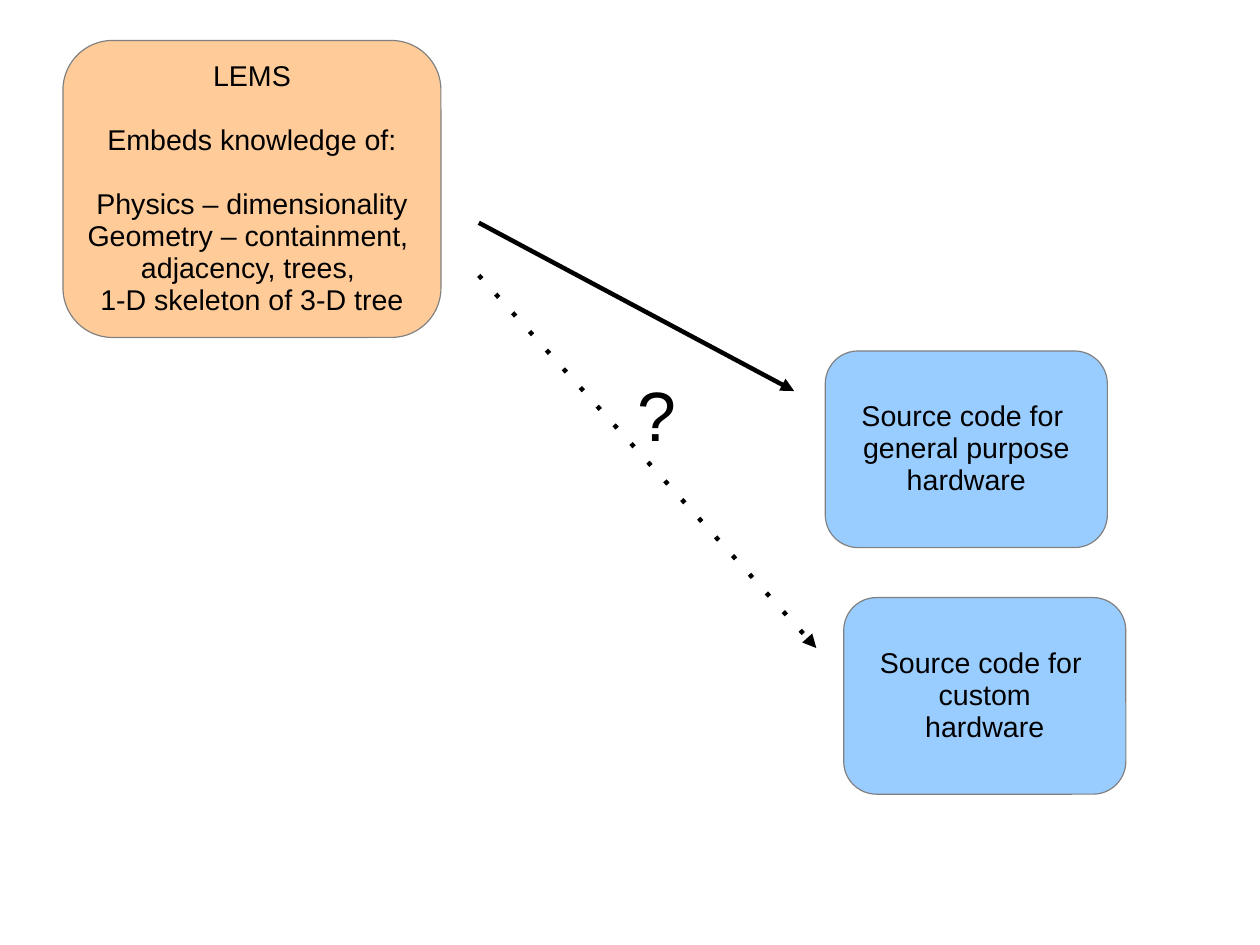
from dataclasses import dataclass

from lxml import etree
from pptx import Presentation
from pptx.dml.color import RGBColor
from pptx.enum import shapes, text
from pptx.oxml import ns
from pptx.util import Cm, Pt


@dataclass(frozen=True)
class Theme:
    font: str = "Arial"
    ink: str = "000000"
    edge: str = "808080"
    model: str = "FFCC99"
    code: str = "99CCFF"
    label: float = 18
    query: float = 44
    arrow: float = 2.83
    spacing: float = 0.93
    gap: float = 20


THEME = Theme()
SLIDE_SIZE = (28, 21)
CODE_SIZE = (6.27, 4.37)

BOXES = [
    ((1.4, 0.9, 8.4, 6.6), THEME.model, [
        ["LEMS"],
        ["Embeds knowledge of:"],
        ["Physics – dimensionality", "Geometry – containment, ",
         "adjacency, trees, ", "1-D skeleton of 3-D tree"],
    ]),
    ((18.75, 13.28, *CODE_SIZE), THEME.code,
     [["Source code for ", "custom", "hardware"]]),
    ((18.34, 7.8, *CODE_SIZE), THEME.code,
     [["Source code for ", "general purpose", "hardware"]]),
]
ARROWS = [
    ((10.64, 4.95, 17.65, 8.69), False),
    ((10.64, 6.12, 18.14, 14.4), True),
]
QUERY = ("?", (13.92, 8.3, 1.37, 2.2))


def rgb(value):
    return RGBColor.from_string(value)


def write(tf, groups, size=THEME.label, align=text.PP_ALIGN.CENTER,
          anchor=text.MSO_ANCHOR.MIDDLE):
    tf.word_wrap = False
    tf.vertical_anchor = anchor
    lines = [(line, i > 0 and j == 0)
             for i, group in enumerate(groups) for j, line in enumerate(group)]
    for n, (line, opens_group) in enumerate(lines):
        p = tf.add_paragraph() if n else tf.paragraphs[0]
        p.alignment = align
        p.line_spacing = THEME.spacing
        if opens_group:
            p.space_before = Pt(THEME.gap)
        r = p.add_run()
        r.text = line
        r.font.name = THEME.font
        r.font.size = Pt(size)
        r.font.color.rgb = rgb(THEME.ink)


def add_box(s, place, fill, groups):
    sp = s.shapes.add_shape(shapes.MSO_SHAPE.ROUNDED_RECTANGLE, *map(Cm, place))
    sp.shadow.inherit = False
    sp.fill.solid()
    sp.fill.fore_color.rgb = rgb(fill)
    sp.line.color.rgb = rgb(THEME.edge)
    sp.line.width = Pt(0)
    write(sp.text_frame, groups)


def add_arrow(s, ends, dotted):
    cx = s.shapes.add_connector(shapes.MSO_CONNECTOR.STRAIGHT, *map(Cm, ends))
    cx.line.color.rgb = rgb(THEME.ink)
    cx.line.width = Pt(THEME.arrow)
    ln = cx.line._get_or_add_ln()
    if dotted:
        dash = etree.SubElement(ln, ns.qn("a:custDash"))
        etree.SubElement(dash, ns.qn("a:ds"), d="100000", sp="460000")
    etree.SubElement(ln, ns.qn("a:tailEnd"), type="triangle")
    etree.SubElement(cx._element.spPr, ns.qn("a:effectLst"))


def main():
    prs = Presentation()
    prs.slide_width, prs.slide_height = map(Cm, SLIDE_SIZE)
    s = prs.slides.add_slide(prs.slide_layouts[6])
    for box in BOXES:
        add_box(s, *box)
    for arrow in ARROWS:
        add_arrow(s, *arrow)
    mark, place = QUERY
    sp = s.shapes.add_textbox(*map(Cm, place))
    write(sp.text_frame, [[mark]], size=THEME.query,
          align=text.PP_ALIGN.LEFT, anchor=text.MSO_ANCHOR.TOP)
    prs.save("out.pptx")


if __name__ == "__main__":
    main()
